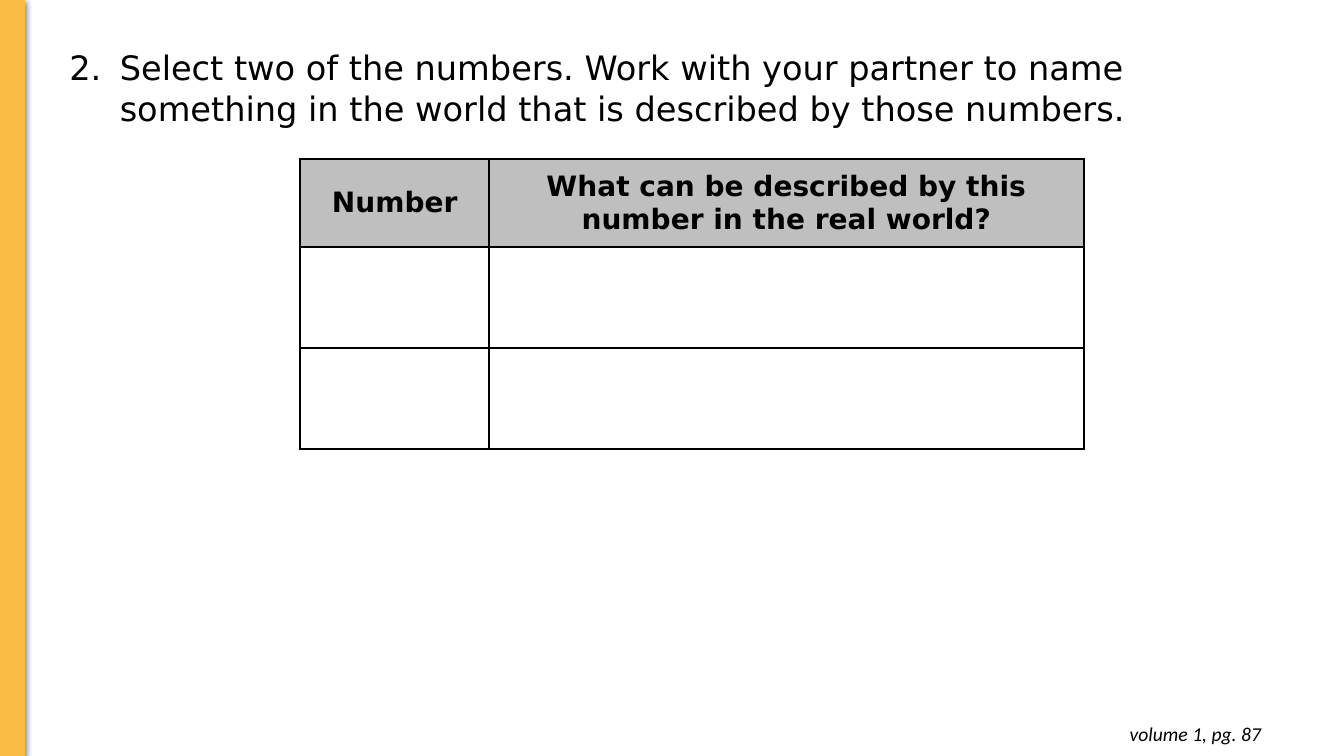
from lxml import etree
from pptx import Presentation
from pptx.dml.color import RGBColor
from pptx.enum.text import MSO_ANCHOR, PP_ALIGN
from pptx.enum.shapes import MSO_SHAPE
from pptx.oxml import parse_xml
from pptx.oxml.ns import nsdecls, qn
from pptx.util import Pt

CENTER, RIGHT = PP_ALIGN.CENTER, PP_ALIGN.RIGHT
MIDDLE = MSO_ANCHOR.MIDDLE
RECTANGLE = MSO_SHAPE.RECTANGLE

THEME = {
    "accent": "FABB42",
    "ink": "000000",
    "header": "BFBFBF",
    "body_font": "DejaVu Sans",
    "footer_font": "Calibri",
    "question_size": 24,
    "table_size": 20,
    "footer_size": 14,
}


def style(para, name, size, bold=False, italic=False):
    font = para.font
    font.name, font.size = name, Pt(size)
    font.bold, font.italic = bold, italic
    font.color.rgb = RGBColor.from_string(THEME["ink"])


def add_text(left, top, width, height, text):
    box = page.shapes.add_textbox(Pt(left), Pt(top), Pt(width), Pt(height))
    box.text_frame.word_wrap = True
    para = box.text_frame.paragraphs[0]
    para.text = text
    return box.text_frame, para


deck = Presentation()
deck.slide_width, deck.slide_height = Pt(960), Pt(540)
page = deck.slides.add_slide(deck.slide_layouts[6])

bar = page.shapes.add_shape(RECTANGLE, Pt(0), Pt(0), Pt(17.5), Pt(540))
bar.fill.solid()
bar.fill.fore_color.rgb = RGBColor.from_string(THEME["accent"])
bar.line.color.rgb = RGBColor.from_string(THEME["accent"])
bar.line.width = Pt(0.75)
bar.shadow.inherit = False
effects = bar._element.spPr.find(qn("a:effectLst"))
effects.append(parse_xml(
    f'<a:outerShdw {nsdecls("a")} blurRad="{Pt(4.5)}" dist="{Pt(1.5)}" dir="5400000" rotWithShape="0">'
    f'<a:srgbClr val="{THEME["ink"]}"><a:alpha val="50000"/></a:srgbClr></a:outerShdw>'))

frame, para = add_text(700.5, 508.3, 207.5, 31.5, "volume 1, pg. 87")
frame.margin_left = frame.margin_right = frame.margin_top = frame.margin_bottom = Pt(7.2)
para.alignment = RIGHT
style(para, THEME["footer_font"], THEME["footer_size"], italic=True)

frame, para = add_text(
    42.5, 30.2, 889, 65.5,
    "Select two of the numbers. Work with your partner to name "
    "something in the world that is described by those numbers.")
properties = para._p.get_or_add_pPr()
properties.set("marL", str(Pt(36)))
properties.set("indent", str(Pt(-36)))
bullet_color = etree.SubElement(properties, qn("a:buClr"))
etree.SubElement(bullet_color, qn("a:srgbClr"), val=THEME["ink"])
etree.SubElement(properties, qn("a:buFont"), typeface=THEME["body_font"])
etree.SubElement(properties, qn("a:buAutoNum"), type="arabicPeriod", startAt="2")
style(para, THEME["body_font"], THEME["question_size"])

column_widths = [134.9, 424.7]
row_heights = [63, 72, 72]
headings = ["Number", "What can be described by this number in the real world?"]
table = page.shapes.add_table(
    len(row_heights), len(column_widths), Pt(214.5), Pt(113.6),
    Pt(sum(column_widths)), Pt(sum(row_heights))).table
table.horz_banding = False
for column, width in zip(table.columns, column_widths):
    column.width = Pt(width)
for row, height in zip(table.rows, row_heights):
    row.height = Pt(height)

for cell in table.iter_cells():
    cell.margin_left = cell.margin_right = Pt(5)
    cell.margin_top = cell.margin_bottom = Pt(7.2)
    cell.vertical_anchor = MIDDLE
    for side in ("lnL", "lnR", "lnT", "lnB"):
        cell._tc.get_or_add_tcPr().append(parse_xml(
            f'<a:{side} {nsdecls("a")} w="{Pt(1.5)}"><a:solidFill>'
            f'<a:srgbClr val="{THEME["ink"]}"/></a:solidFill></a:{side}>'))
    cell.fill.background()
    style(cell.text_frame.paragraphs[0], THEME["body_font"], THEME["table_size"])

for cell, heading in zip(table.rows[0].cells, headings):
    cell.fill.solid()
    cell.fill.fore_color.rgb = RGBColor.from_string(THEME["header"])
    para = cell.text_frame.paragraphs[0]
    para.text = heading
    para.alignment = CENTER
    style(para, THEME["body_font"], THEME["table_size"], bold=True)

deck.save("out.pptx")
